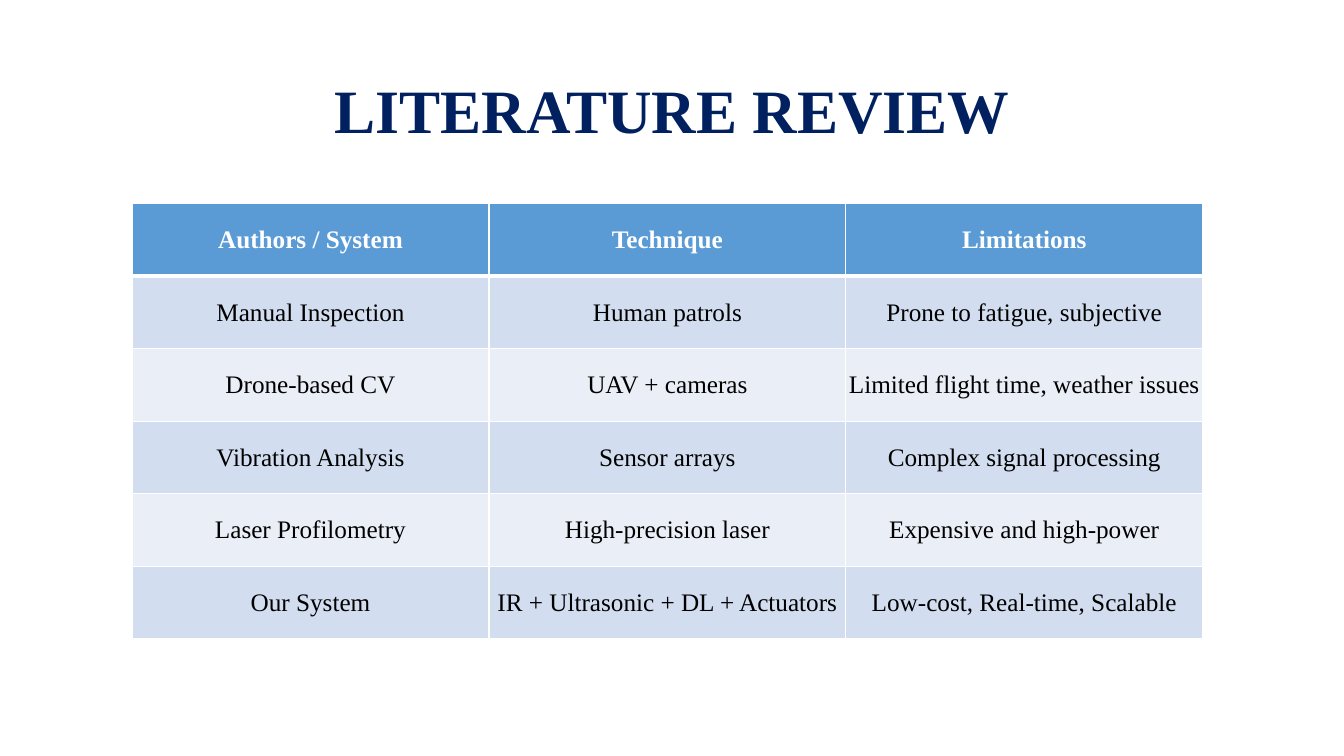
from lxml import etree
from pptx import Presentation
from pptx.dml.color import RGBColor
from pptx.enum.text import MSO_ANCHOR, PP_ALIGN
from pptx.oxml.ns import qn
from pptx.util import Inches, Pt

MIDDLE, CENTER = MSO_ANCHOR.MIDDLE, PP_ALIGN.CENTER

TITLE = "LITERATURE REVIEW"
ROWS = [
    ("Authors / System", "Technique", "Limitations"),
    ("Manual Inspection", "Human patrols", "Prone to fatigue, subjective"),
    ("Drone-based CV", "UAV + cameras", "Limited flight time, weather issues"),
    ("Vibration Analysis", "Sensor arrays", "Complex signal processing"),
    ("Laser Profilometry", "High-precision laser", "Expensive and high-power"),
    ("Our System", "IR + Ultrasonic + DL + Actuators", "Low-cost, Real-time, Scalable"),
]

FACE = "Times New Roman"
THEME = {
    "title": {"name": FACE, "size": Pt(44), "bold": True, "color": "002060"},
    "head": {"name": FACE, "size": Pt(18), "bold": True, "color": "FFFFFF"},
    "body": {"name": FACE, "size": Pt(18), "bold": False, "color": "000000"},
    "head_fill": "5B9BD5",
    "bands": ("D2DEEF", "EAEFF7"),
    "rule": "FFFFFF",
    "thin": Pt(1),
    "thick": Pt(3),
}

WIDE, HIGH = Inches(13.33), Inches(7.5)
TITLE_BOX = [Inches(n) for n in (0.92, 0.4, 11.5, 1.45)]
LEFT, TOP = Inches(1.31), Inches(2.02)
COL, ROW = Inches(3.54), Inches(0.72)


def assign(item, values):
    for key, value in values.items():
        setattr(item, key, value)


def write(frame, text, style):
    frame.text = text
    para = frame.paragraphs[0]
    para.alignment = CENTER
    font = para.runs[0].font
    assign(font, {k: v for k, v in style.items() if k != "color"})
    font.color.rgb = RGBColor.from_string(style["color"])
    return para


def border(cell, sides):
    """Add cell edges ahead of the fill, in the order L, R, T, B."""
    props = cell._tc.get_or_add_tcPr()
    for spot, (side, width) in enumerate(sides.items()):
        line = etree.Element(qn(f"a:ln{side}"), w=str(width))
        fill = etree.SubElement(line, qn("a:solidFill"))
        etree.SubElement(fill, qn("a:srgbClr"), val=THEME["rule"])
        props.insert(spot, line)


def add_title(slide):
    title = slide.shapes.title
    assign(title, dict(zip(("left", "top", "width", "height"), TITLE_BOX)))
    title.text_frame.vertical_anchor = MIDDLE
    write(title.text_frame, TITLE, THEME["title"]).line_spacing = 0.9


def add_review(slide):
    rows, cols = len(ROWS), len(ROWS[0])
    table = slide.shapes.add_table(
        rows, cols, LEFT, TOP, cols * COL, rows * ROW).table
    bands, thin, thick = THEME["bands"], THEME["thin"], THEME["thick"]
    for r, texts in enumerate(ROWS):
        head = r == 0
        table.rows[r].height = ROW
        shade = THEME["head_fill"] if head else bands[(r - 1) % len(bands)]
        sides = {"L": thin, "R": thin,
                 "T": thick if r == 1 else thin,
                 "B": thick if head else thin}
        for c, text in enumerate(texts):
            cell = table.cell(r, c)
            assign(cell, {"vertical_anchor": MIDDLE, "margin_left": 0,
                          "margin_right": 0, "margin_top": 0, "margin_bottom": 0})
            cell.fill.solid()
            cell.fill.fore_color.rgb = RGBColor.from_string(shade)
            border(cell, sides)
            write(cell.text_frame, text, THEME["head" if head else "body"])
    for column in table.columns:
        column.width = COL


def main():
    deck = Presentation()
    assign(deck, {"slide_width": WIDE, "slide_height": HIGH})
    slide = deck.slides.add_slide(deck.slide_layouts[5])
    add_title(slide)
    add_review(slide)
    deck.save("out.pptx")


if __name__ == "__main__":
    main()
